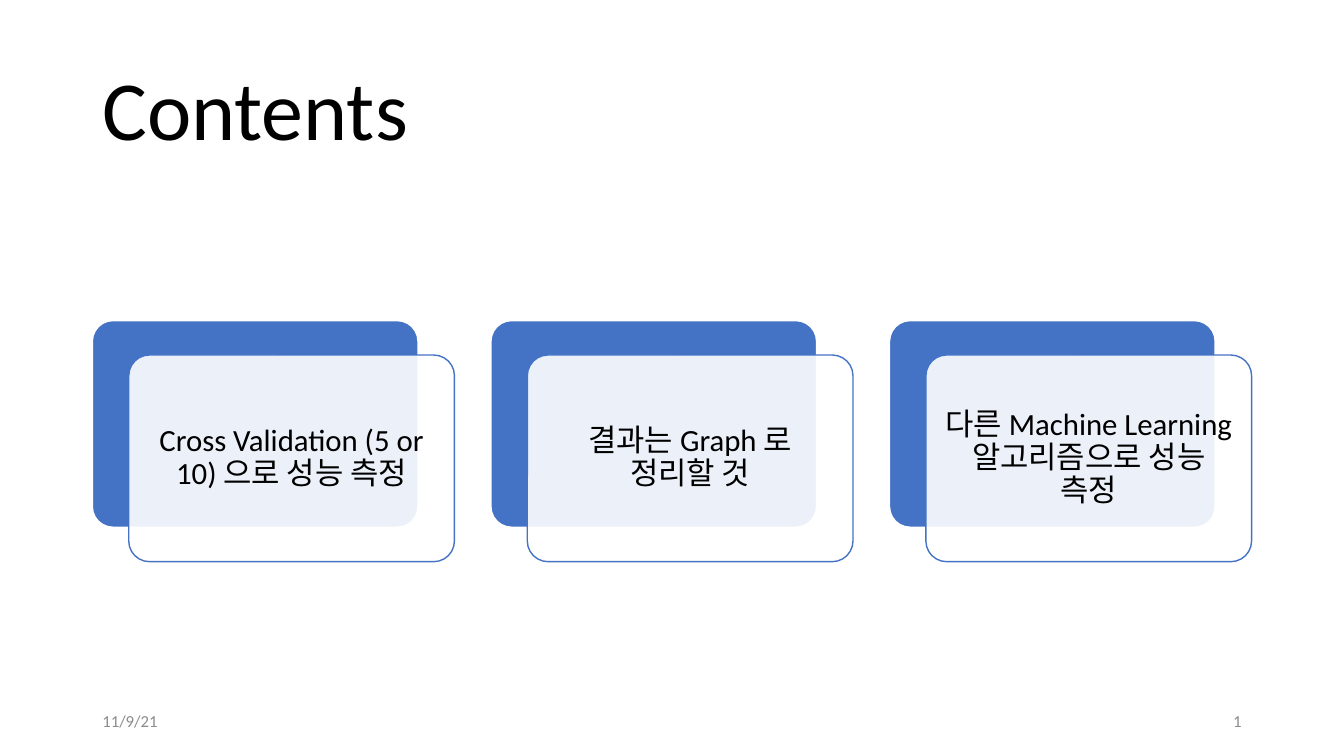
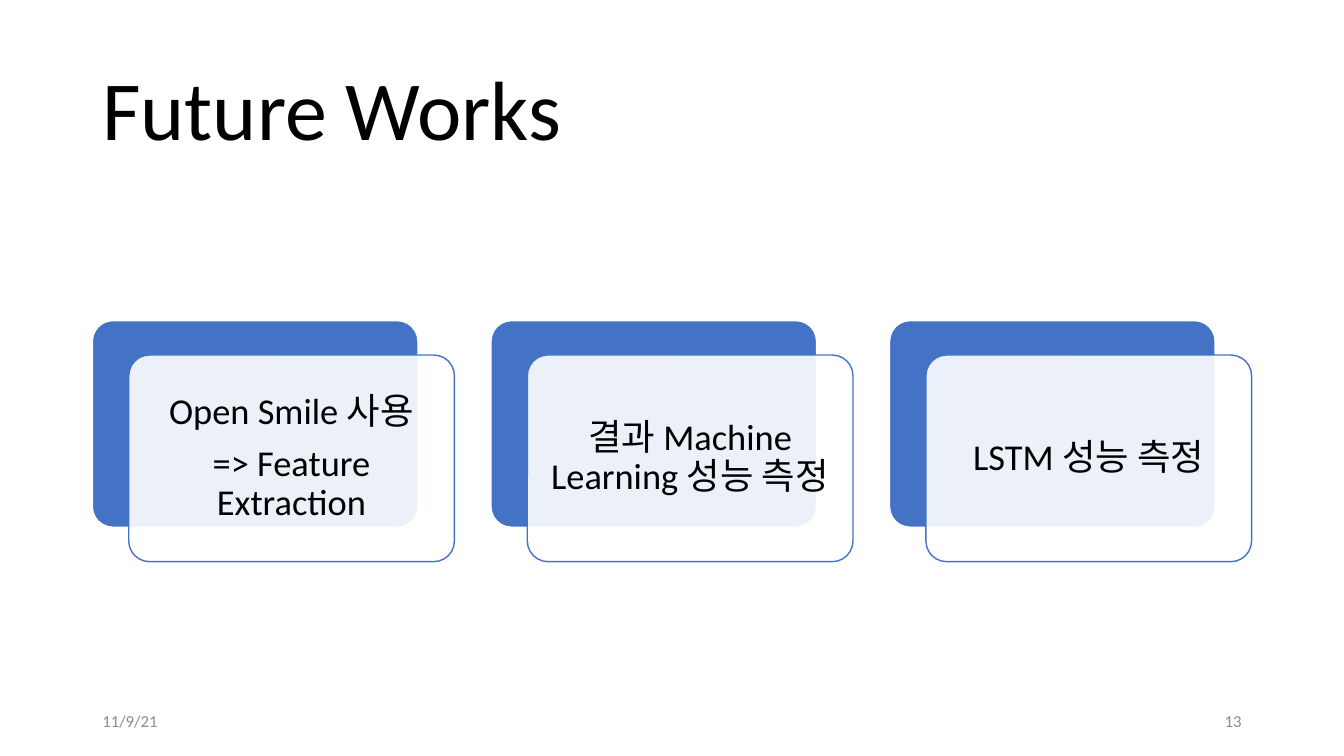
from dataclasses import dataclass
from lxml.etree import SubElement
from pptx import Presentation
from pptx.dml.color import RGBColor
from pptx.enum.shapes import MSO_SHAPE
from pptx.enum.text import MSO_ANCHOR, PP_ALIGN
from pptx.oxml.ns import qn
from pptx.util import Pt

# Content
DATE = "11/9/21"
PAGES = [
    dict(title="Contents", number="1", size=22, inset=7.2, cards=[
        ["Cross Validation (5 or 10) 으로 성능 측정"],
        ["결과는 Graph 로 정리할 것"],
        ["다른 Machine Learning 알고리즘으로 성능 측정"],
    ]),
    dict(title="Future Works", number="13", size=26, inset=7.8, cards=[
        ["Open Smile 사용", "=> Feature Extraction"],
        ["결과 Machine Learning 성능 측정"],
        ["LSTM 성능 측정"],
    ]),
]


# Theme
@dataclass(frozen=True)
class Theme:
    font: str = "Calibri"
    ink: RGBColor = RGBColor(0, 0, 0)
    gray: RGBColor = RGBColor(0x8C, 0x8C, 0x8C)
    blue: RGBColor = RGBColor(0x44, 0x72, 0xC4)
    white: RGBColor = RGBColor(255, 255, 255)
    title: int = 60
    small: int = 12


THEME = Theme()

# Layout, in points
WIDTH, HEIGHT = 960, 540
LEFT, SPAN = 66, 828
TITLE_TOP, TITLE_HIGH = 29, 104
FOOT_TOP, FOOT_WIDE, FOOT_HIGH = 500.4, 216, 28.8
CARD_TOP, CARD_WIDE, CARD_HIGH = 229, 232.6, 147.6
CARD_STEP = 284.7
SHIFT_X, SHIFT_Y = 26, 24.6


def write(frame, lines, size, color, align=PP_ALIGN.LEFT, spacing=1.0):
    frame.word_wrap = True
    frame.vertical_anchor = MSO_ANCHOR.MIDDLE
    for i, line in enumerate(lines):
        para = frame.add_paragraph() if i else frame.paragraphs[0]
        para.text = line
        para.alignment = align
        para.line_spacing = spacing
        if i:
            para.space_before = Pt(round(size * 0.35, 1))
        para.font.name = THEME.font
        para.font.size = Pt(size)
        para.font.color.rgb = color


def label(slide, x, y, wide, high, text, *style):
    box = slide.shapes.add_textbox(Pt(x), Pt(y), Pt(wide), Pt(high))
    write(box.text_frame, [text], *style)


def panel(slide, x, y, fill, line):
    shape = slide.shapes.add_shape(MSO_SHAPE.ROUNDED_RECTANGLE, Pt(x), Pt(y),
                                   Pt(CARD_WIDE), Pt(CARD_HIGH))
    shape.adjustments[0] = 0.1
    shape.shadow.inherit = False
    shape.fill.solid()
    shape.fill.fore_color.rgb = fill
    shape.line.color.rgb = line
    shape.line.width = Pt(1)
    return shape


def card(slide, x, lines, size, inset):
    panel(slide, x, CARD_TOP, THEME.blue, THEME.white)
    front = panel(slide, x + SHIFT_X, CARD_TOP + SHIFT_Y, THEME.white, THEME.blue)
    # Front panel is 90% opaque
    tint = front.element.spPr.find(qn("a:solidFill"))[0]
    SubElement(tint, qn("a:alpha"), val="90000")
    frame = front.text_frame
    frame.margin_left = frame.margin_right = Pt(inset)
    frame.margin_top = frame.margin_bottom = Pt(inset)
    write(frame, lines, size, THEME.ink, PP_ALIGN.CENTER, 0.9)


def build(deck, page):
    slide = deck.slides.add_slide(deck.slide_layouts[6])
    label(slide, LEFT, TITLE_TOP, SPAN, TITLE_HIGH, page["title"],
          THEME.title, THEME.ink, PP_ALIGN.LEFT, 0.9)
    for i, lines in enumerate(page["cards"]):
        card(slide, LEFT + i * CARD_STEP, lines, page["size"], page["inset"])
    # Footer
    foot = [(LEFT, DATE, PP_ALIGN.LEFT),
            (LEFT + SPAN - FOOT_WIDE, page["number"], PP_ALIGN.RIGHT)]
    for x, text, align in foot:
        label(slide, x, FOOT_TOP, FOOT_WIDE, FOOT_HIGH, text,
              THEME.small, THEME.gray, align)


def main():
    deck = Presentation()
    deck.slide_width, deck.slide_height = Pt(WIDTH), Pt(HEIGHT)
    for page in PAGES:
        build(deck, page)
    deck.save("out.pptx")


if __name__ == "__main__":
    main()
